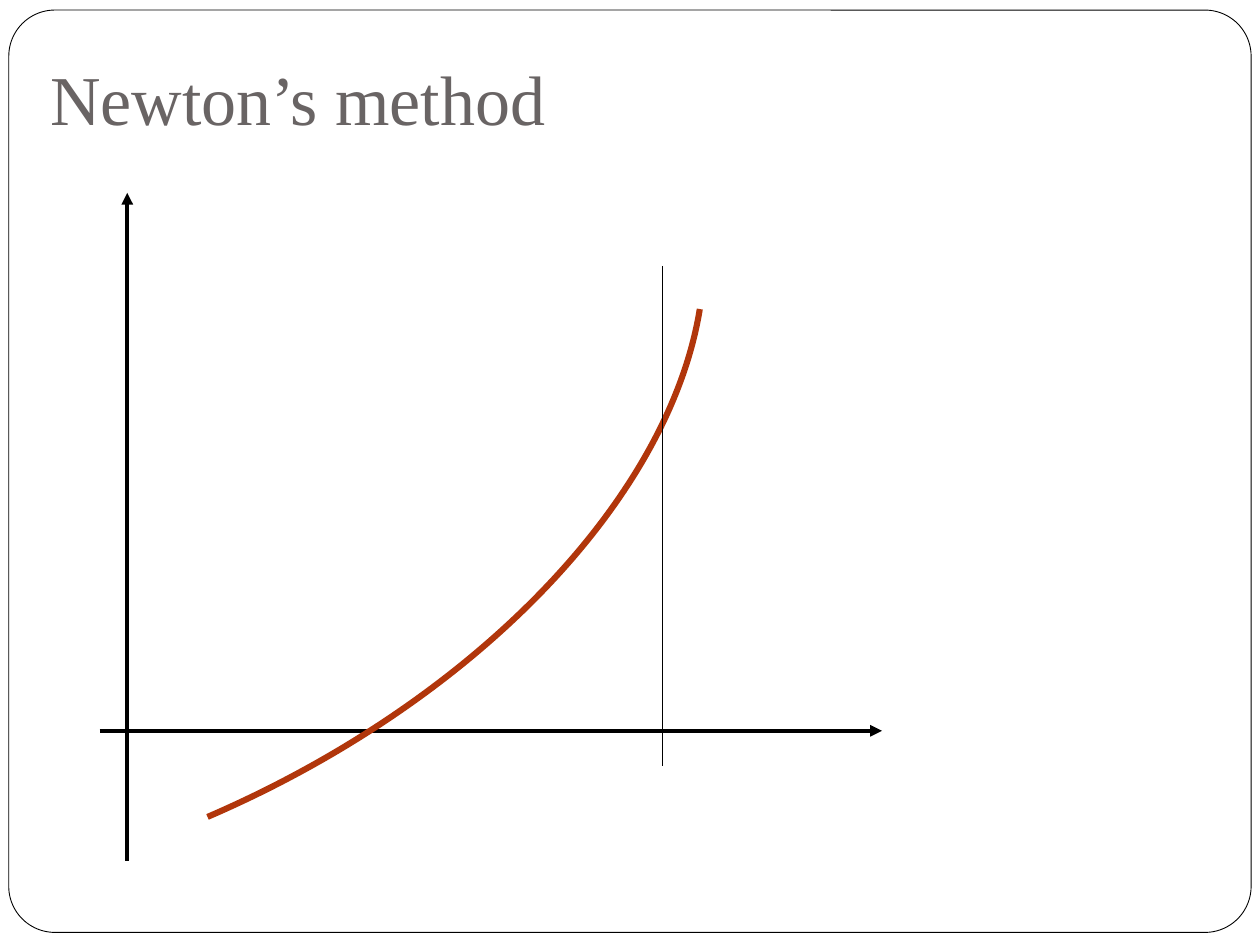
"""Build the Newton's method slide: a curve on two axes with a vertical line."""
from dataclasses import dataclass

from lxml.etree import SubElement
from pptx import Presentation
from pptx.dml.color import RGBColor
from pptx.enum.shapes import MSO_CONNECTOR as CONN, MSO_SHAPE as SHAPE
from pptx.enum.text import MSO_ANCHOR as ANCHOR
from pptx.oxml.ns import qn
from pptx.slide import Slide
from pptx.util import Inches, Pt

BLACK = RGBColor(0x00, 0x00, 0x00)
WHITE = RGBColor(0xFF, 0xFF, 0xFF)
GRAY = RGBColor(0x69, 0x64, 0x64)
RUST = RGBColor(0xB1, 0x36, 0x0B)


@dataclass(frozen=True)
class Line:
    x1: float
    y1: float
    x2: float
    y2: float
    width: float
    arrow: bool = False


AXES = [Line(0.79, 5.8, 7, 5.8, 2.25, True), Line(1.01, 6.83, 1.01, 1.53, 2.25, True)]
GUESS = Line(5.26, 2.11, 5.26, 6.08, 0.75)


def add_line(s: Slide, line: Line) -> None:
    ends = [Inches(v) for v in (line.x1, line.y1, line.x2, line.y2)]
    sp = s.shapes.add_connector(CONN.STRAIGHT, *ends)
    sp.line.color.rgb = BLACK
    sp.line.width = Pt(line.width)
    if line.arrow:
        SubElement(sp.line._get_or_add_ln(), qn("a:tailEnd"), type="triangle")
    SubElement(sp._element.spPr, qn("a:effectLst"))


def add_frame(s: Slide) -> None:
    sp = s.shapes.add_shape(
        SHAPE.ROUNDED_RECTANGLE, Inches(0.07), Inches(0.08), Inches(9.86), Inches(7.32))
    sp.adjustments[0] = 0.05
    sp.shadow.inherit = False
    sp.fill.solid()
    sp.fill.fore_color.rgb = WHITE
    sp.line.color.rgb = BLACK
    sp.line.width = Pt(0.5)


def add_title(s: Slide, text: str) -> None:
    sp = s.shapes.add_textbox(Inches(0.3), Inches(0.33), Inches(9.54), Inches(0.77))
    tf = sp.text_frame
    tf.word_wrap = True
    tf.vertical_anchor = ANCHOR.TOP
    tf.margin_top = Inches(0.11)
    r = tf.paragraphs[0].add_run()
    r.text = text
    r.font.name = "Times New Roman"
    r.font.size = Pt(40)
    r.font.color.rgb = GRAY


def add_curve(s: Slide) -> None:
    sp = s.shapes.add_shape(
        SHAPE.ARC, Inches(-3.07), Inches(-2.18), Inches(6.76), Inches(11.12))
    sp.adjustments[0] = 169.97
    sp.adjustments[1] = 0
    sp.rotation = 66.7
    sp.shadow.inherit = False
    sp.fill.background()
    sp.line.color.rgb = RUST
    sp.line.width = Pt(3.5)


def main() -> None:
    prs = Presentation()
    prs.slide_width, prs.slide_height = Inches(10), Inches(7.5)
    s = prs.slides.add_slide(prs.slide_layouts[6])
    add_frame(s)
    add_title(s, "Newton’s method")
    for axis in AXES:
        add_line(s, axis)
    add_curve(s)
    add_line(s, GUESS)
    prs.save("out.pptx")


if __name__ == "__main__":
    main()
